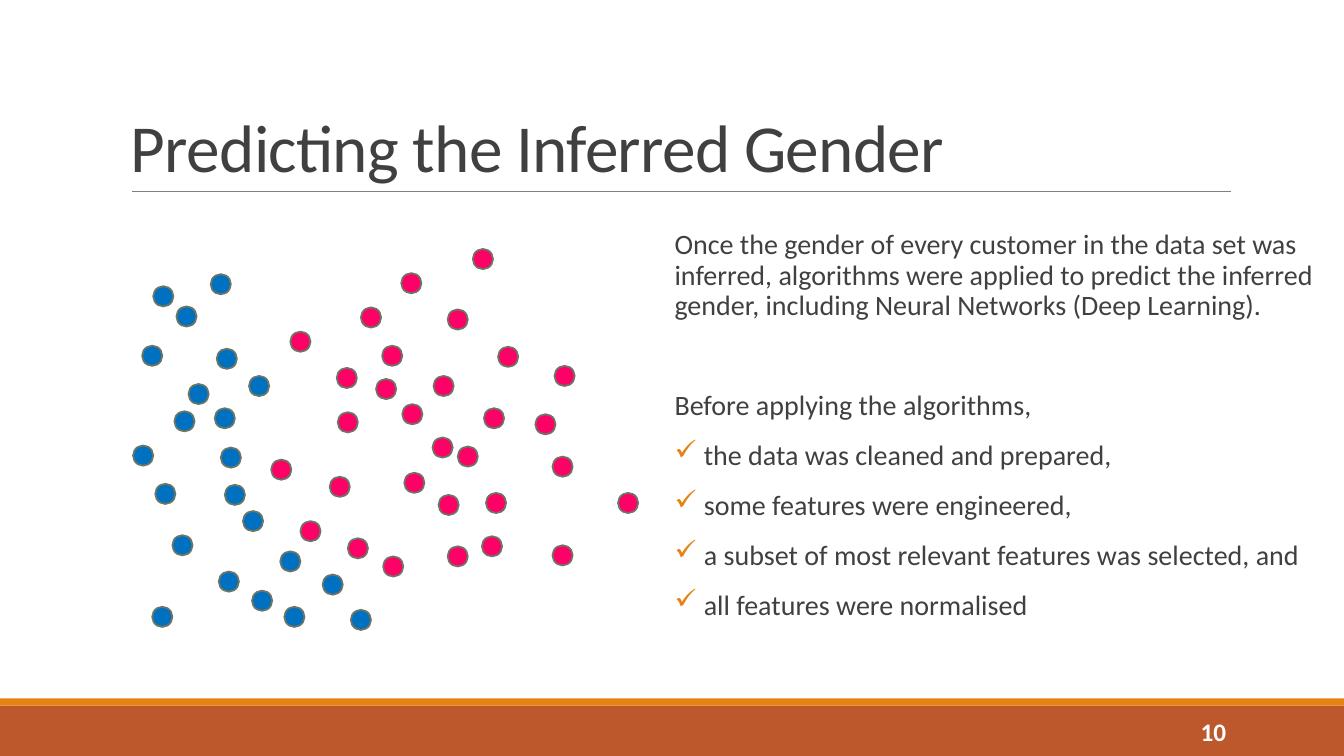
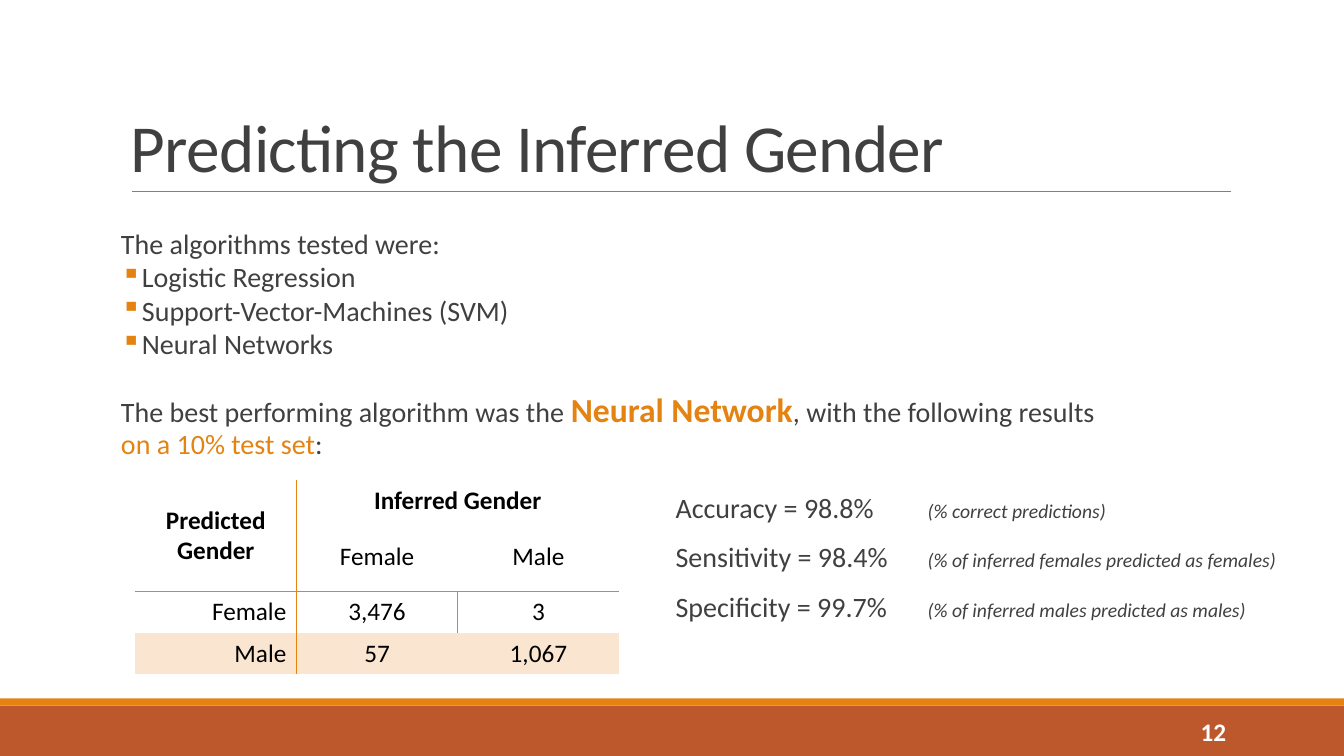
from lxml import etree
from pptx import Presentation
from pptx.dml.color import RGBColor
from pptx.enum.shapes import MSO_CONNECTOR, MSO_SHAPE
from pptx.enum.text import MSO_ANCHOR, PP_ALIGN
from pptx.oxml.ns import qn
from pptx.util import Emu, Pt

RECT, OVAL = MSO_SHAPE.RECTANGLE, MSO_SHAPE.OVAL
STRAIGHT = MSO_CONNECTOR.STRAIGHT
TOP, MIDDLE, BOTTOM = MSO_ANCHOR.TOP, MSO_ANCHOR.MIDDLE, MSO_ANCHOR.BOTTOM
LEFT, CENTER, RIGHT = PP_ALIGN.LEFT, PP_ALIGN.CENTER, PP_ALIGN.RIGHT

EMU_PER_PX = 9144  # 100 px to the inch
FONT = "Calibri"
TEXT, ACCENT, BAND, RULE = "404040", "E48312", "BD582C", "808080"
WHITE, BLACK, TINT = "FFFFFF", "000000", "FAE6D0"
BLUE, PINK, DOT_EDGE = "0070C0", "FF0066", "6D7665"
DOT_SIZE = 20


def px(length):
    return Emu(length * EMU_PER_PX)


def rgb(value):
    return RGBColor.from_string(value)


def add_xml(parent, tag, **attributes):
    return etree.SubElement(parent, qn(tag), attributes)


def set_font(font, size=None, color=None, bold=None, italic=None):
    font.name = FONT
    if size:
        font.size = Pt(size)
    if color:
        font.color.rgb = rgb(color)
    if bold is not None:
        font.bold = bold
    if italic is not None:
        font.italic = italic


class SlideBuilder:
    """Holds the deck, its style and the slide being built."""

    def __init__(self):
        self.deck = Presentation()
        self.deck.slide_width, self.deck.slide_height = px(1333), px(750)
        self.page = None

    def new_page(self, title, number):
        self.page = self.deck.slides.add_slide(self.deck.slide_layouts[6])
        # Footer bands and title rule
        self.shape(RECT, 0, 700, 1333, 50, BAND)
        self.shape(RECT, 0, 693, 1333, 7, ACCENT)
        self.line(131, 190, 1221, 190, RULE, 0.5)
        # Title and page number
        frame = self.box(120, 31, 1100, 159, anchor=BOTTOM)
        para = self.para(frame, [title], size=48, line_spacing=0.85)
        para.runs[0]._r.get_or_add_rPr().set("spc", "-50")
        frame = self.box(1083, 706, 143, 40, anchor=MIDDLE)
        self.para(frame, [number], size=18, color=WHITE, bold=True,
                  align=RIGHT, line_spacing=1.0)

    def shape(self, kind, left, top, width, height, fill, edge=None, parent=None):
        shapes = (parent or self.page).shapes
        shape = shapes.add_shape(kind, px(left), px(top), px(width), px(height))
        shape.shadow.inherit = False
        shape.fill.solid()
        shape.fill.fore_color.rgb = rgb(fill)
        if edge:
            shape.line.color.rgb = rgb(edge)
            shape.line.width = Pt(1.25)
        else:
            shape.line.fill.background()

    def line(self, x1, y1, x2, y2, color, width):
        line = self.page.shapes.add_connector(STRAIGHT, px(x1), px(y1), px(x2), px(y2))
        line.line.color.rgb = rgb(color)
        line.line.width = Pt(width)
        add_xml(line._element.spPr, "a:effectLst")

    def dots(self, groups):
        cluster = self.page.shapes.add_group_shape()
        for color, places in groups.items():
            for left, top in places:
                self.shape(OVAL, left, top, DOT_SIZE, DOT_SIZE, color, DOT_EDGE, cluster)

    def box(self, left, top, width, height, anchor=TOP, side_inset=10):
        box = self.page.shapes.add_textbox(px(left), px(top), px(width), px(height))
        frame = box.text_frame
        frame.word_wrap = True
        frame.vertical_anchor = anchor
        frame.margin_left = frame.margin_right = px(side_inset)
        return frame

    def body(self, left, top, width, height):
        return self.box(left, top, width, height, side_inset=0)

    def para(self, frame, spans, size=20, color=TEXT, bold=None, align=LEFT,
             line_spacing=0.9, before=0, after=0, bullet=None, hang=0, tab=None):
        """Spans are strings, (string, font changes) pairs, or None for a line break."""
        first = frame.paragraphs[0]
        para = frame.add_paragraph() if first.runs else first
        para.alignment = align
        para.line_spacing = line_spacing
        para.space_before, para.space_after = Pt(before), Pt(after)
        properties = para._p.get_or_add_pPr()
        if bullet:
            properties.set("marL", str(px(hang)))
            properties.set("indent", str(-px(hang)))
            add_xml(add_xml(properties, "a:buClr"), "a:srgbClr", val=ACCENT)
            add_xml(properties, "a:buChar", char=bullet)
        if tab:
            stops = add_xml(properties, "a:tabLst")
            add_xml(stops, "a:tab", pos=str(px(tab)), algn="l")
        set_font(para.font, size, color, bold)
        for span in spans:
            if span is None:
                para.add_line_break()
                continue
            text, changes = (span, None) if isinstance(span, str) else span
            run = para.add_run()
            run.text = text
            if changes:
                set_font(run.font, **changes)
        return para

    def confusion_table(self, left, top, column_width, row_height, rows, merges):
        row_count, column_count = len(rows), len(rows[0])
        frame = self.page.shapes.add_table(
            row_count, column_count, px(left), px(top),
            px(column_width * column_count), px(row_height * row_count))
        table = frame.table
        table.first_row = table.horz_banding = False
        for start, end in merges:
            table.cell(*start).merge(table.cell(*end))
        for r, row in enumerate(rows):
            for c, text in enumerate(row):
                cell = table.cell(r, c)
                self.cell_borders(cell, self.table_rules(r, c))
                if r == row_count - 1:
                    cell.fill.solid()
                    cell.fill.fore_color.rgb = rgb(TINT)
                else:
                    cell.fill.background()
                if text:
                    cell.vertical_anchor = MIDDLE
                    is_row_label = r > 1 and c == 0
                    self.para(cell.text_frame, [text], size=18, color=BLACK,
                              bold=r == 0, line_spacing=1.0,
                              align=RIGHT if is_row_label else CENTER)

    @staticmethod
    def table_rules(r, c):
        """Sides ruled around the row labels, below the headings and by the first count."""
        tests = {
            "L": c == 1 or (r, c) == (2, 2),
            "R": c == 0 or (r, c) == (2, 1),
            "T": r == 2,
            "B": r == 1 or (r, c) == (0, 0),
        }
        return {side for side, ruled in tests.items() if ruled}

    @staticmethod
    def cell_borders(cell, ruled_sides):
        properties = cell._tc.get_or_add_tcPr()
        for side in "LRTB":
            border = add_xml(properties, f"a:ln{side}", w=str(Pt(1)))
            if side in ruled_sides:
                add_xml(add_xml(border, "a:solidFill"), "a:srgbClr", val=ACCENT)
            else:
                add_xml(border, "a:noFill")


DOTS = {
    BLUE: [
        (152, 284), (141, 343), (209, 272), (215, 346), (132, 442), (187, 381),
        (223, 481), (213, 405), (348, 605), (171, 531), (151, 602), (241, 507),
        (217, 567), (282, 602), (173, 408), (154, 480), (175, 304), (219, 444),
        (278, 547), (320, 570), (250, 586), (247, 373),
    ],
    PINK: [
        (288, 329), (269, 456), (358, 305), (334, 365), (327, 473), (298, 517),
        (399, 401), (435, 491), (345, 534), (454, 443), (429, 434), (444, 542),
        (401, 469), (482, 489), (548, 453), (478, 532), (548, 541), (613, 489),
        (430, 373), (531, 411), (480, 405), (550, 363), (494, 344), (380, 552),
        (398, 271), (379, 343), (469, 247), (444, 307), (335, 409), (373, 376),
    ],
}
STEPS = [
    "the data was cleaned and prepared,",
    "some features were engineered,",
    "a subset of most relevant features was selected, and",
    "all features were normalised",
]
ALGORITHMS = ["Logistic Regression", "Support-Vector-Machines (SVM)", "Neural Networks"]
COUNTS = [
    ["Predicted Gender", "Inferred Gender", ""],
    ["", "Female", "Male"],
    ["Female", "3,476", "3"],
    ["Male", "57", "1,067"],
]
METRICS = [
    ("Accuracy = 98.8%", "(% correct predictions)"),
    ("Sensitivity = 98.4%", "(% of inferred females predicted as females)"),
    ("Specificity = 99.7%", "(% of inferred males predicted as males)"),
]
TITLE = "Predicting the Inferred Gender"


def preparation_page(slides):
    slides.new_page(TITLE, "10")
    slides.dots(DOTS)
    frame = slides.body(669, 224, 635, 454)
    slides.para(frame, [
        "Once the gender of every customer in the data set was inferred, algorithms were "
        "applied to predict the inferred gender, including Neural Networks (Deep Learning)."
    ], before=12, after=2)
    slides.para(frame, ["Before applying the algorithms,"], before=48, after=2)
    for step in STEPS:
        slides.para(frame, [step], before=12, after=2, bullet="✓", hang=29)


def results_page(slides):
    slides.new_page(TITLE, "12")
    # Algorithms and the best one
    frame = slides.body(120, 224, 1188, 240)
    slides.para(frame, ["The algorithms tested were:"], before=12, after=2)
    for name in ALGORITHMS:
        slides.para(frame, [name], after=12 if name == ALGORITHMS[-1] else 2,
                    bullet="▪", hang=16)
    slides.para(frame, [
        "The best performing algorithm was the ",
        ("Neural Network", {"size": 24, "color": ACCENT, "bold": True}),
        ", with the following results",
        None,
        ("on a 10% test set", {"color": ACCENT}),
        ":",
    ], before=12, after=12)
    # Confusion matrix
    slides.confusion_table(134, 476, 160, 41, COUNTS,
                           merges=[((0, 0), (1, 0)), ((0, 1), (0, 2))])
    # Metrics with their meaning
    frame = slides.body(670, 485, 638, 150)
    for metric, meaning in METRICS:
        slides.para(frame, [metric + "\t", (meaning, {"size": 14, "italic": True})],
                    before=12, after=2, tab=250)


def main():
    slides = SlideBuilder()
    preparation_page(slides)
    results_page(slides)
    slides.deck.save("out.pptx")


if __name__ == "__main__":
    main()
